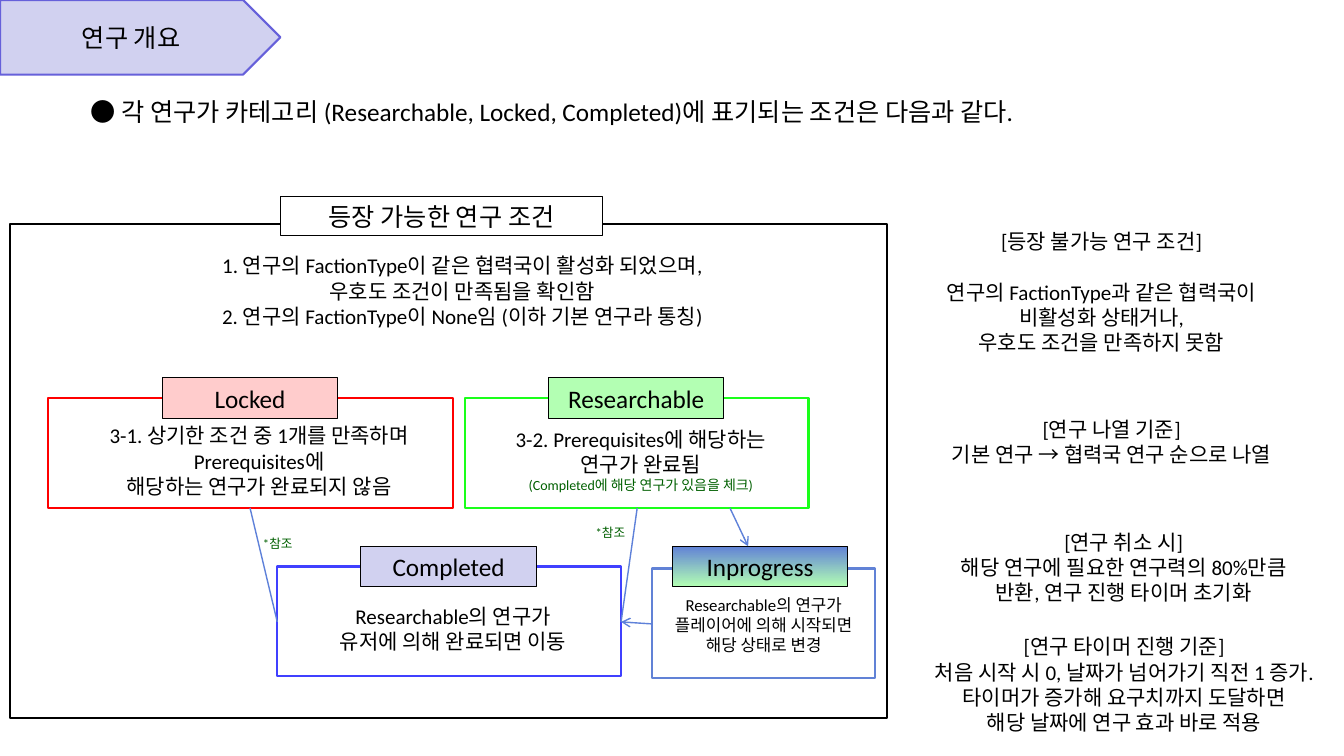
import pptx
import pptx.util
import pptx.dml.color
import pptx.enum.shapes
import pptx.enum.text
import pptx.oxml
import pptx.oxml.ns
import lxml.etree

Inches = pptx.util.Inches
Pt = pptx.util.Pt
RGBColor = pptx.dml.color.RGBColor
Kind = pptx.enum.shapes.MSO_SHAPE
Align = pptx.enum.text.PP_ALIGN
Anchor = pptx.enum.text.MSO_ANCHOR

BLACK = RGBColor(0x00, 0x00, 0x00)
WHITE = RGBColor(0xFF, 0xFF, 0xFF)
RED = RGBColor(0xFF, 0x00, 0x00)
PINK = RGBColor(0xFF, 0xCC, 0xCC)
LIME = RGBColor(0x1A, 0xFF, 0x1A)
MINT = RGBColor(0xB3, 0xFF, 0xB3)
BLUE = RGBColor(0x40, 0x40, 0xFF)
LILAC = RGBColor(0xD1, 0xD1, 0xF0)
VIOLET = RGBColor(0x66, 0x60, 0xDA)
STEEL = RGBColor(0x61, 0x82, 0xD6)
WIRE = RGBColor(0x5E, 0x81, 0xD9)
GREEN = RGBColor(0x00, 0x60, 0x00)

FONT = "Calibri"
TITLE = "연구 개요"
LEAD = "● 각 연구가 카테고리 (Researchable, Locked, Completed)에 표기되는 조건은 다음과 같다."
HEAD = "등장 가능한 연구 조건"
RULES = [
    "1. 연구의 FactionType이 같은 협력국이 활성화 되었으며,",
    "우호도 조건이 만족됨을 확인함",
    "2. 연구의 FactionType이 None임 (이하 기본 연구라 통칭)",
]

STATES = [
    dict(name="Locked", fill=PINK, edge=RED, box=(0.48, 3.95, 4.01), tag=(1.61, 3.75),
         body=(0.8, 3.98, 3.54, 1.18), size=15,
         lines=["3-1. 상기한 조건 중 1개를 만족하며 Prerequisites에", "해당하는 연구가 완료되지 않음"]),
    dict(name="Researchable", fill=MINT, edge=LIME, box=(4.61, 3.95, 3.41), tag=(5.44, 3.75),
         body=(4.8, 4.19, 3.11, 0.75), size=15,
         lines=["3-2. Prerequisites에 해당하는", "연구가 완료됨"],
         note="(Completed에 해당 연구가 있음을 체크)"),
    dict(name="Completed", fill=LILAC, edge=BLUE, box=(2.75, 5.62, 3.41), tag=(3.58, 5.42),
         body=(2.94, 5.86, 3.11, 0.75), size=15,
         lines=["Researchable의 연구가", "유저에 의해 완료되면 이동"]),
    dict(name="Inprogress", fill=(STEEL, MINT), edge=STEEL, box=(6.47, 5.64, 2.21), tag=(6.67, 5.42),
         body=(6.47, 5.82, 2.21, 0.75), size=12,
         lines=["Researchable의 연구가", "플레이어에 의해 시작되면", "해당 상태로 변경"]),
]

SIDES = [
    ((8.88, 2.22, 4.09, 1.34), 18, "[등장 불가능 연구 조건]",
     ["연구의 FactionType과 같은 협력국이", "비활성화 상태거나,", "우호도 조건을 만족하지 못함"]),
    ((8.98, 4.08, 4.09, 0.59), 0, "[연구 나열 기준]",
     ["기본 연구 → 협력국 연구 순으로 나열"]),
    ((9.1, 5.2, 4.09, 0.84), 0, "[연구 취소 시]",
     ["해당 연구에 필요한 연구력의 80%만큼", "반환, 연구 진행 타이머 초기화"]),
    ((9.03, 6.24, 4.24, 1.09), 0, "[연구 타이머 진행 기준]",
     ["처음 시작 시 0, 날짜가 넘어가기 직전 1 증가.", "타이머가 증가해 요구치까지 도달하면",
      "해당 날짜에 연구 효과 바로 적용"]),
]

LINKS = [
    ((2.48, 5.04), (2.75, 6.17), False),
    ((6.32, 5.04), (6.16, 6.17), False),
    ((7.24, 5.04), (7.42, 5.42), True),
    ((6.47, 6.19), (6.16, 6.17), True),
]
REF = "*참조"
REFS = [(2.51, 5.27), (5.81, 5.16)]

BOX_H = 1.09
TAG_W, TAG_H = 1.74, 0.4

deck = pptx.Presentation()
deck.slide_width = Inches(13.33)
deck.slide_height = Inches(7.5)
slide = deck.slides.add_slide(deck.slide_layouts[5])
shapes = slide.shapes


def inch(place):
    return [Inches(part) for part in place]


def write(shape, lines, size=15, color=BLACK, align=Align.CENTER,
          anchor=Anchor.TOP, wrap=True, gap=0, note=None):
    frame = shape.text_frame
    frame.word_wrap = wrap
    frame.vertical_anchor = anchor
    rows = [(line, size, color) for line in lines]
    if note:
        rows.append((note, 10, GREEN))
    for spot, (line, points, ink) in enumerate(rows):
        para = frame.paragraphs[0] if spot == 0 else frame.add_paragraph()
        para.alignment = align
        if spot == 0 and gap:
            para.space_after = Pt(gap)
        run = para.add_run()
        run.text = line
        run.font.name = FONT
        run.font.size = Pt(points)
        run.font.color.rgb = ink


def block(place, fill=None, edge=BLACK, width=1.5, kind=Kind.RECTANGLE):
    shape = shapes.add_shape(kind, *inch(place))
    shape.shadow.inherit = False
    if fill is None:
        shape.fill.background()
    elif isinstance(fill, RGBColor):
        shape.fill.solid()
        shape.fill.fore_color.rgb = fill
    else:
        shape.fill.gradient()
        shape.fill.gradient_angle = 270
        for stop, color in zip(shape.fill.gradient_stops, fill):
            stop.color.rgb = color
    shape.line.color.rgb = edge
    shape.line.width = Pt(width)
    return shape


def label(place, lines, **form):
    write(shapes.add_textbox(*inch(place)), lines, **form)


def tag(place, name, fill):
    write(block(place, fill, width=0.75), [name], size=18, anchor=Anchor.MIDDLE)


def link(start, end, arrow):
    line = shapes.add_connector(pptx.enum.shapes.MSO_CONNECTOR.STRAIGHT, *inch(start + end))
    line.line.color.rgb = WIRE
    line.line.width = Pt(1)
    qn = pptx.oxml.ns.qn
    if arrow:
        lxml.etree.SubElement(line.line._get_or_add_ln(), qn("a:tailEnd"), type="arrow")
    lxml.etree.SubElement(line._element.spPr, qn("a:effectLst"))


def main():
    banner = block((0, 0, 2.78, 0.74), LILAC, VIOLET, kind=Kind.PENTAGON)
    shapes._spTree.insert(2, banner._element)
    title = shapes.title
    title.left, title.top, title.width, title.height = inch((0, 0, 2.6, 0.74))
    write(title, [TITLE], size=18, anchor=Anchor.MIDDLE)
    label((0.8, 0.91, 11.74, 0.4), [LEAD], size=18, align=Align.LEFT)

    block((0.1, 2.22, 8.7, 4.9))
    tag((2.78, 1.95, 3.2, 0.39), HEAD, WHITE)
    label((1.25, 2.46, 6.67, 0.85), RULES)

    for state in STATES:
        block(state["box"] + (BOX_H,), edge=state["edge"])
        tag(state["tag"] + (TAG_W, TAG_H), state["name"], state["fill"])
        label(state["body"], state["lines"], size=state["size"],
              anchor=Anchor.MIDDLE, note=state.get("note"))

    for ends in LINKS:
        link(*ends)
    for spot in REFS:
        label(spot + (0.55, 0.24), [REF], size=9, color=GREEN, align=Align.LEFT, wrap=False)
    for place, gap, head, lines in SIDES:
        label(place, [head] + lines, gap=gap)

    deck.save("out.pptx")


if __name__ == "__main__":
    main()
